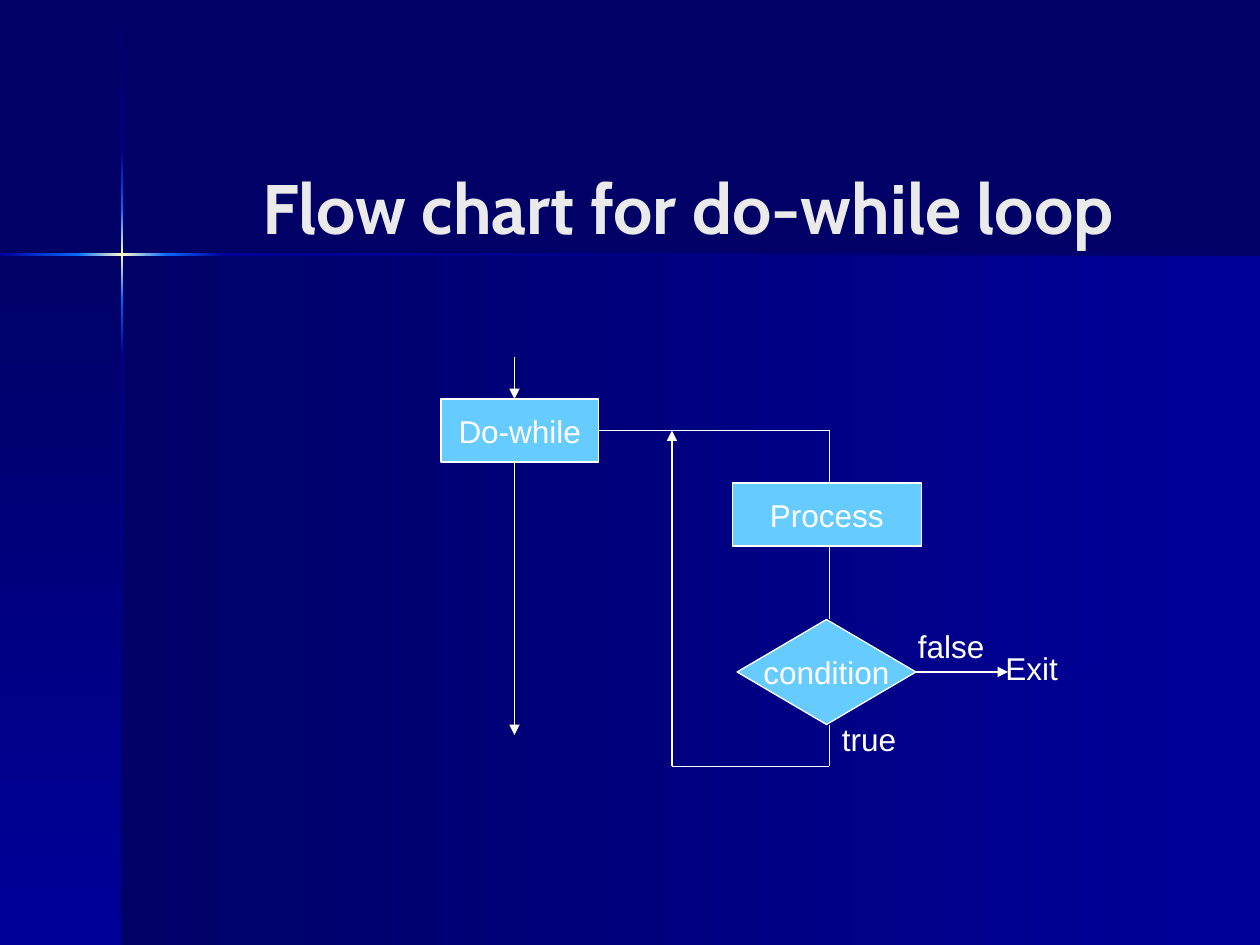
from copy import deepcopy
from itertools import pairwise

from lxml.etree import SubElement
from pptx import Presentation
from pptx.dml.color import RGBColor
from pptx.enum.shapes import MSO_CONNECTOR, MSO_SHAPE
from pptx.enum.text import MSO_ANCHOR, PP_ALIGN
from pptx.oxml.ns import qn
from pptx.util import Pt

COLORS = {
    "night": "000066", "navy": "000099", "blue": "0066FF", "glow": "FFFFCC",
    "title": "EAEAEA", "box": "66CCFF", "white": "FFFFFF",
}
WIDTH, HEIGHT = 720, 540
CROSS_X, CROSS_Y, BEAM = 69.84, 145.44, 1.44

TITLE = ("Flow chart for do-while loop", (96, 61.5, 594, 113))
PANELS = [
    ((CROSS_X, CROSS_Y, WIDTH - CROSS_X, HEIGHT - CROSS_Y), 0),
    ((0, CROSS_Y, CROSS_X, HEIGHT - CROSS_Y), 270),
]
VERTICAL_STOPS = [0.7, 87, 119, 171, 203, HEIGHT]
VERTICAL_SHADES = [
    ("night", "navy"), ("navy", "blue"), ("blue", "glow", "blue"),
    ("blue", "navy"), ("navy", "night"),
]
HORIZONTAL_STOPS = [0, 43.5, 96, 127.5, WIDTH]
HORIZONTAL_SHADES = VERTICAL_SHADES[1:]

STEPS = [
    ("Do-while", MSO_SHAPE.FLOWCHART_PROCESS, (252, 228, 90, 36)),
    ("condition", MSO_SHAPE.FLOWCHART_DECISION, (421.2, 354, 102.2, 60)),
    ("Process", MSO_SHAPE.FLOWCHART_PROCESS, (418.5, 276, 108, 36)),
]
ENTRY_X, RETURN_X, LOOP_X = 294, 384, 474
LOOP_TOP, EXIT_Y, LOOP_BOTTOM = 246, 384, 438
FLOWS = [
    ((342, LOOP_TOP), (LOOP_X, LOOP_TOP), False),
    ((LOOP_X, LOOP_TOP), (LOOP_X, 276), False),
    ((LOOP_X, 312), (LOOP_X, 354), False),
    ((LOOP_X, 414), (LOOP_X, LOOP_BOTTOM), False),
    ((LOOP_X, LOOP_BOTTOM), (RETURN_X, LOOP_BOTTOM), False),
    ((RETURN_X, LOOP_BOTTOM), (RETURN_X, LOOP_TOP), True),
    ((ENTRY_X, 204), (ENTRY_X, 228), True),
    ((ENTRY_X, 264), (ENTRY_X, 420), True),
    ((522, EXIT_Y), (576, EXIT_Y), True),
]
LABELS = [
    ("Exit", (567.4, 367.5, 44.6, 29)),
    ("true", (474, 408, 45.4, 29)),
    ("false", (517.5, 355, 52.6, 29)),
]


def color(name):
    return RGBColor.from_string(COLORS[name])


def write(shape, text, size=18, face="Arial", shade="white", bold=False,
          align=PP_ALIGN.CENTER, anchor=MSO_ANCHOR.MIDDLE, wrap=False):
    frame = shape.text_frame
    frame.word_wrap = wrap
    frame.vertical_anchor = anchor
    paragraph = frame.paragraphs[0]
    paragraph.text = text
    paragraph.alignment = align
    paragraph.font.size = Pt(size)
    paragraph.font.name = face
    paragraph.font.bold = bold
    paragraph.font.color.rgb = color(shade)


def add_band(slide, box, shades, angle):
    band = slide.shapes.add_shape(MSO_SHAPE.RECTANGLE, *map(Pt, box))
    band.shadow.inherit = False
    band.line.fill.background()
    band.fill.gradient()
    band.fill.gradient_angle = angle
    stop_list = band._element.spPr.find(".//" + qn("a:gsLst"))
    for _ in shades[2:]:
        stop_list.append(deepcopy(stop_list[0]))
    for index, (stop, shade) in enumerate(zip(band.fill.gradient_stops, shades)):
        stop.position = index / (len(shades) - 1)
        stop.color.rgb = color(shade)


def add_step(slide, text, kind, box):
    step = slide.shapes.add_shape(kind, *map(Pt, box))
    step.shadow.inherit = False
    step.fill.solid()
    step.fill.fore_color.rgb = color("box")
    step.line.color.rgb = color("white")
    step.line.width = Pt(0.75)
    write(step, text)


def add_flow(slide, start, end, arrow):
    flow = slide.shapes.add_connector(MSO_CONNECTOR.STRAIGHT, *map(Pt, start + end))
    flow.line.color.rgb = color("white")
    flow.line.width = Pt(0.75)
    if arrow:
        SubElement(flow.line._get_or_add_ln(), qn("a:tailEnd"), type="triangle")
    SubElement(flow._element.spPr, qn("a:effectLst"))


def main():
    deck = Presentation()
    deck.slide_width, deck.slide_height = Pt(WIDTH), Pt(HEIGHT)
    slide = deck.slides.add_slide(deck.slide_layouts[6])
    slide.background.fill.solid()
    slide.background.fill.fore_color.rgb = color("night")

    for box, angle in PANELS:
        add_band(slide, box, ("night", "navy"), angle)
    for (top, bottom), shades in zip(pairwise(VERTICAL_STOPS), VERTICAL_SHADES):
        add_band(slide, (CROSS_X - BEAM / 2, top, BEAM, bottom - top), shades, 270)
    for (left, right), shades in zip(pairwise(HORIZONTAL_STOPS), HORIZONTAL_SHADES):
        add_band(slide, (left, CROSS_Y - BEAM / 2, right - left, BEAM), shades, 0)

    text, box = TITLE
    write(slide.shapes.add_textbox(*map(Pt, box)), text, 40, "Cabin", "title",
          bold=True, wrap=True)
    for step in STEPS:
        add_step(slide, *step)
    for flow in FLOWS:
        add_flow(slide, *flow)
    for text, box in LABELS:
        write(slide.shapes.add_textbox(*map(Pt, box)), text,
              align=PP_ALIGN.LEFT, anchor=MSO_ANCHOR.TOP)
    deck.save("out.pptx")


if __name__ == "__main__":
    main()
